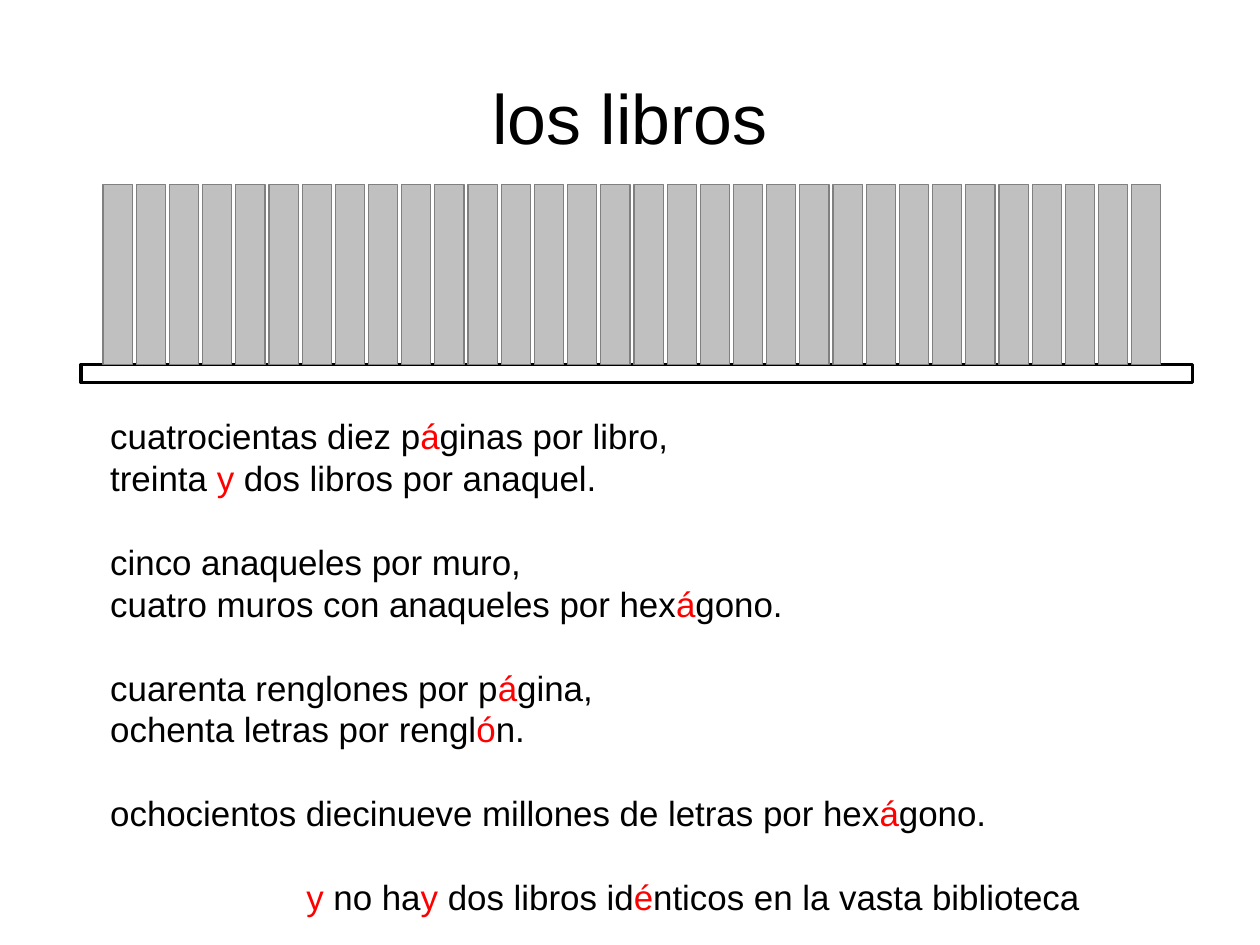
from dataclasses import dataclass
from itertools import groupby

from pptx import Presentation
from pptx.dml.color import RGBColor
from pptx.enum.shapes import MSO_SHAPE
from pptx.enum.text import MSO_ANCHOR, PP_ALIGN
from pptx.util import Cm, Pt


@dataclass(frozen=True)
class Theme:
    font: str = "Arial"
    title_size: Pt = Pt(44)
    verse_size: Pt = Pt(22)
    verse_spacing: Pt = Pt(26.35)
    ink: RGBColor = RGBColor(0x00, 0x00, 0x00)
    accent: RGBColor = RGBColor(0xFF, 0x00, 0x00)
    paper: RGBColor = RGBColor(0xFF, 0xFF, 0xFF)
    book: RGBColor = RGBColor(0xC0, 0xC0, 0xC0)
    book_edge: RGBColor = RGBColor(0x80, 0x80, 0x80)


theme = Theme()

BOOK_COUNT = 32
FIRST_BOOK, LAST_BOOK = 2.29, 25.15
BOOK_PITCH = (LAST_BOOK - FIRST_BOOK) / (BOOK_COUNT - 1)

RED_LETTERS = "áéóy"
STANZAS = [
    ["cuatrocientas diez páginas por libro,",
     "treinta y dos libros por anaquel."],
    ["cinco anaqueles por muro,",
     "cuatro muros con anaqueles por hexágono."],
    ["cuarenta renglones por página,",
     "ochenta letras por renglón."],
    ["ochocientos diecinueve millones de letras por hexágono."],
    ["y no hay dos libros idénticos en la vasta biblioteca"],
]


def add_box(left, top, width, height, fill, edge, edge_width):
    """Add a flat rectangle, with its place in centimetres."""
    shape = slide.shapes.add_shape(
        MSO_SHAPE.RECTANGLE, Cm(left), Cm(top), Cm(width), Cm(height))
    shape.shadow.inherit = False
    shape.fill.solid()
    shape.fill.fore_color.rgb = fill
    shape.line.color.rgb = edge
    shape.line.width = edge_width


def style_run(run, size, color):
    run.font.name = theme.font
    run.font.size = size
    run.font.color.rgb = color


presentation = Presentation()
presentation.slide_width = Cm(28)
presentation.slide_height = Cm(21)
slide = presentation.slides.add_slide(presentation.slide_layouts[6])

# Title
title = slide.shapes.add_textbox(Cm(1.4), Cm(0.84), Cm(25.2), Cm(3.5))
title_frame = title.text_frame
title_frame.word_wrap = True
title_frame.vertical_anchor = MSO_ANCHOR.MIDDLE
title_frame.margin_left = title_frame.margin_right = 0
title_frame.margin_top = title_frame.margin_bottom = 0
title_frame.text = "los libros"
title_frame.paragraphs[0].alignment = PP_ALIGN.CENTER
style_run(title_frame.paragraphs[0].runs[0], theme.title_size, theme.ink)

# Shelf and its books
add_box(1.8, 8.1, 24.7, 0.4, theme.paper, theme.ink, Pt(2.3))
for index in range(BOOK_COUNT):
    add_box(FIRST_BOOK + index * BOOK_PITCH, 4.1, 0.65, 4,
            theme.book, theme.book_edge, Pt(0))

# Verses: accented letters and every "y" are red
poem = slide.shapes.add_textbox(Cm(2.2), Cm(9.1), Cm(23.6), Cm(10.67))
poem_frame = poem.text_frame
poem_frame.word_wrap = True
paragraph = poem_frame.paragraphs[0]
for stanza_index, stanza in enumerate(STANZAS):
    for verse_index, verse in enumerate(stanza):
        if stanza_index or verse_index:
            paragraph = poem_frame.add_paragraph()
        paragraph.line_spacing = theme.verse_spacing
        if stanza_index and verse_index == 0:
            paragraph.space_before = theme.verse_spacing
        for is_red, letters in groupby(verse, lambda letter: letter in RED_LETTERS):
            run = paragraph.add_run()
            run.text = "".join(letters)
            style_run(run, theme.verse_size, theme.accent if is_red else theme.ink)

# The closing verse is centred, shifted right by an indent
paragraph.alignment = PP_ALIGN.CENTER
paragraph._p.get_or_add_pPr().set("marL", str(Cm(2.8)))

presentation.save("out.pptx")
